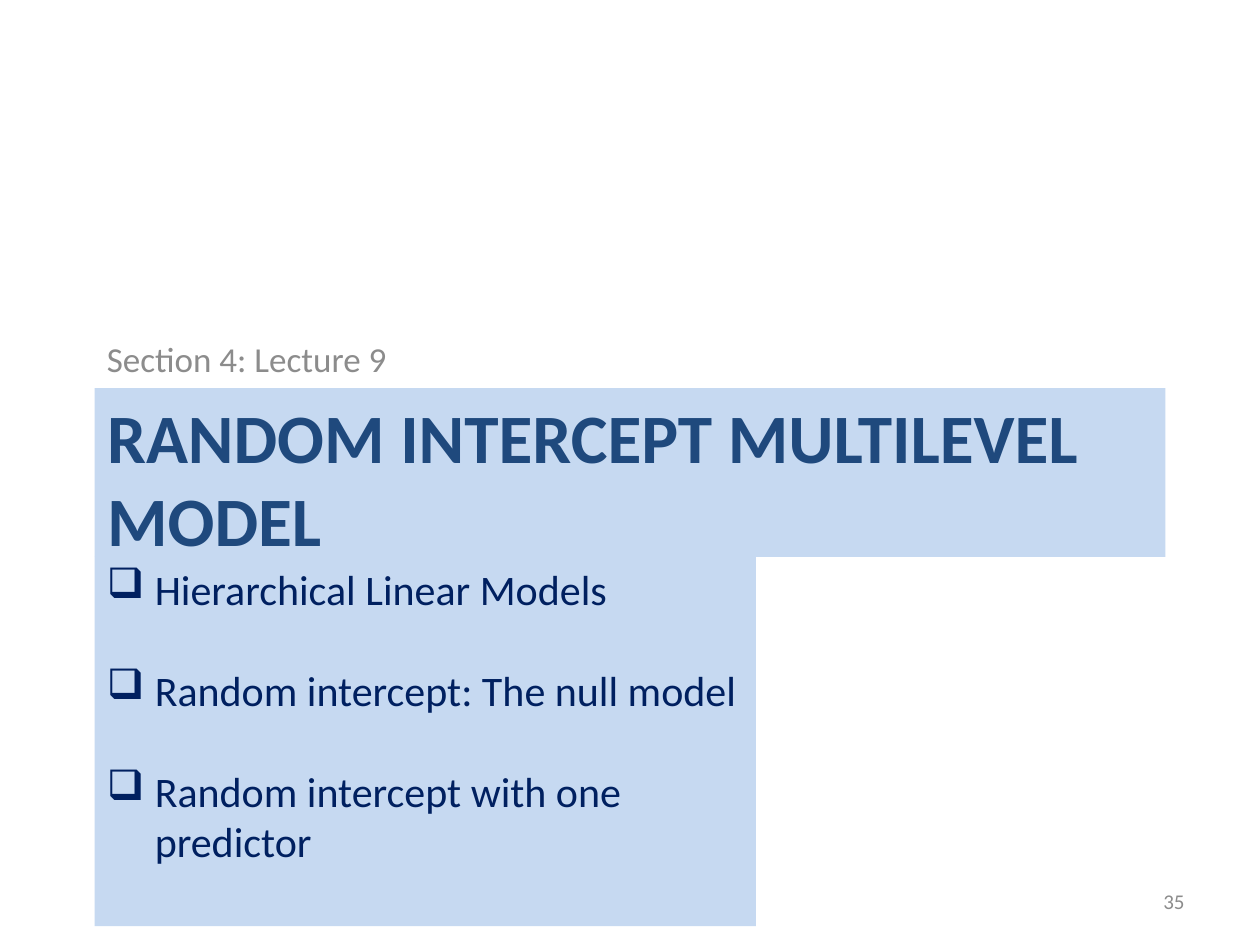
"""Build the section slide for the random intercept multilevel model lecture."""
from lxml.etree import SubElement
from pptx import Presentation
from pptx.dml.color import RGBColor
from pptx.enum.shapes import MSO_SHAPE
from pptx.enum.text import MSO_ANCHOR as Anchor, MSO_AUTO_SIZE as AutoSize, PP_ALIGN as Align
from pptx.oxml.ns import qn
from pptx.util import Inches, Pt

SECTION = "Section 4: Lecture 9"
TITLE = "RANDOM INTERCEPT MULTILEVEL MODEL"
TOPICS = [
    "Hierarchical Linear Models",
    "Random intercept: The null model",
    "Random intercept with one predictor",
]
PAGE = "35"
COLORS = {"panel": "C6D9F1", "title": "1F497D", "topic": "002060", "muted": "8C8C8C"}
WIDTH, HEIGHT = 10, 7.5
MARGIN = 0.75
TITLE_TOP, TOPICS_TOP, BOTTOM = 3.08, 4.42, 7.35
CONTENT_WIDTH = WIDTH - 2 * MARGIN
INDENT = 0.38


def box(left, top, width, height):
    return [Inches(length) for length in (left, top, width, height)]


def fill_panel(panel):
    panel.fill.solid()
    panel.fill.fore_color.rgb = RGBColor.from_string(COLORS["panel"])
    panel.line.fill.background()


def write(part, lines, size, color, bold=False, align=Align.LEFT,
          anchor=Anchor.TOP, gap=0, bullet=None):
    frame = part.text_frame
    frame.word_wrap = True
    frame.auto_size = AutoSize.NONE
    frame.vertical_anchor = anchor
    frame.text = "\n".join(lines)
    for paragraph in frame.paragraphs:
        paragraph.alignment = align
        paragraph.space_after = Pt(gap)
        font = paragraph.runs[0].font
        font.name, font.size, font.bold = "Calibri", Pt(size), bold
        font.color.rgb = RGBColor.from_string(COLORS[color])
        if bullet:
            properties = paragraph._p.get_or_add_pPr()
            properties.set("marL", str(Inches(INDENT)))
            properties.set("indent", str(-Inches(INDENT)))
            SubElement(properties, qn("a:buChar"), char=bullet)


def main():
    deck = Presentation()
    deck.slide_width, deck.slide_height = Inches(WIDTH), Inches(HEIGHT)
    slide = deck.slides.add_slide(deck.slide_layouts[5])
    shapes = slide.shapes

    title = shapes.title
    title.left, title.top, title.width, title.height = box(
        MARGIN, TITLE_TOP, CONTENT_WIDTH, TOPICS_TOP - TITLE_TOP)
    fill_panel(title)
    write(title, [TITLE], 39.6, "title", bold=True)

    section = shapes.add_textbox(*box(MARGIN, 1.42, CONTENT_WIDTH, 1.64))
    write(section, [SECTION], 20, "muted", anchor=Anchor.BOTTOM)

    topics = shapes.add_shape(
        MSO_SHAPE.RECTANGLE, *box(MARGIN, TOPICS_TOP, 5.25, BOTTOM - TOPICS_TOP))
    topics.shadow.inherit = False
    fill_panel(topics)
    write(topics, TOPICS, 24, "topic", gap=29, bullet="❑")

    page = shapes.add_textbox(*box(7.17, 6.95, 2.33, 0.4))
    write(page, [PAGE], 12, "muted", align=Align.RIGHT, anchor=Anchor.MIDDLE)

    deck.save("out.pptx")


if __name__ == "__main__":
    main()
